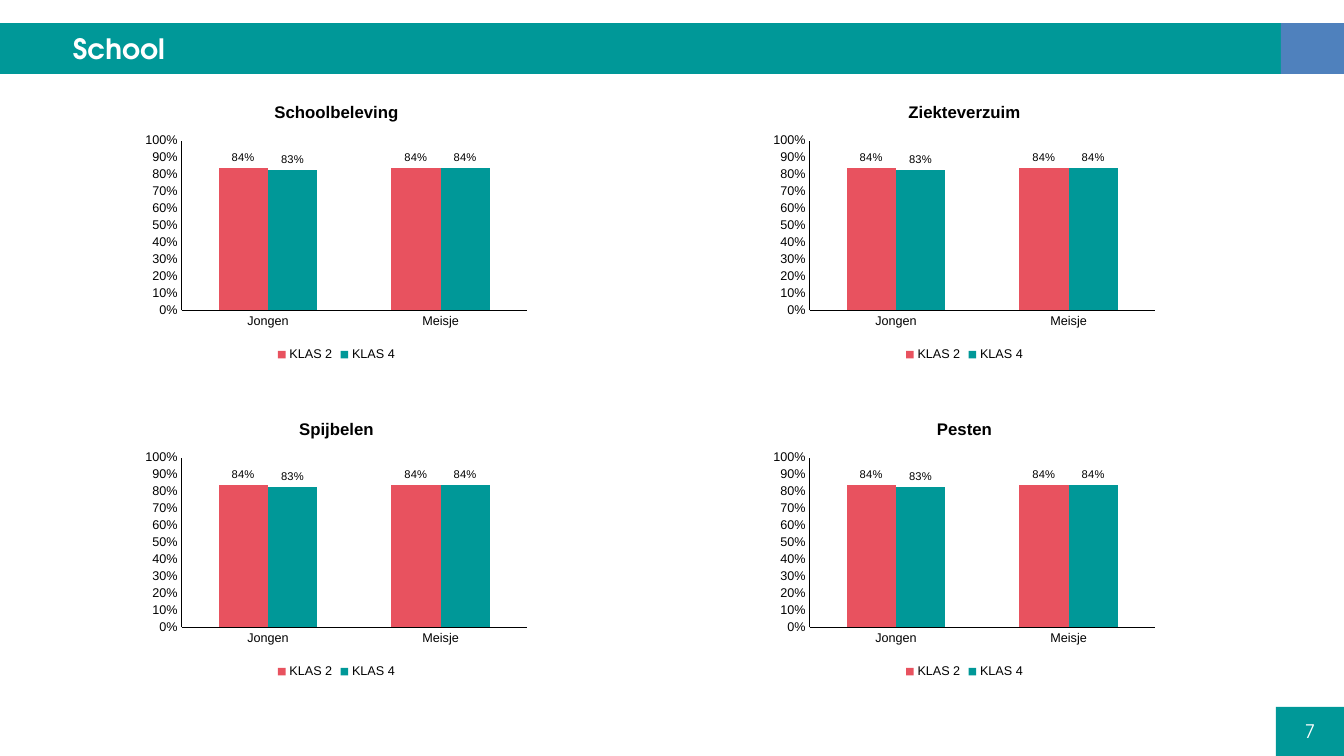
"""Build the School slide: header bar, four class charts and page number."""
from lxml import etree
from pptx import Presentation
from pptx import util as u
from pptx.chart.data import CategoryChartData
from pptx.dml.color import RGBColor
from pptx.enum import chart as ch, shapes, text
from pptx.oxml.ns import qn

TEAL, RED, BLUE, BLACK, WHITE = "009898", "E8525F", "4F81BD", "000000", "FFFFFF"
SCALE = 914400 / 100.8


def px(*vals):
    return [u.Emu(round(v * SCALE)) for v in vals]


def style(font, size, color, bold=False, name="Arial"):
    font.size, font.bold, font.name = u.Pt(size), bold, name
    font.color.rgb = RGBColor.from_string(color)


prs = Presentation()
prs.slide_width, prs.slide_height = px(1344, 756)
slide = prs.slides.add_slide(prs.slide_layouts[6])

bars = [
    (0, 23, 63, 51, TEAL, "", 20, True, text.PP_ALIGN.LEFT),
    (63, 23, 1218, 51, TEAL, "School", 20, True, text.PP_ALIGN.LEFT),
    (1281, 23, 63, 51, BLUE, "", 20, True, text.PP_ALIGN.LEFT),
    (1276, 707, 68, 49, TEAL, "7", 13.3, False, text.PP_ALIGN.CENTER),
]
for x, y, w, h, fill, label, size, bold, align in bars:
    bar = slide.shapes.add_shape(shapes.MSO_SHAPE.RECTANGLE, *px(x, y, w, h))
    bar.shadow.inherit = False
    bar.fill.solid()
    bar.fill.fore_color.rgb = RGBColor.from_string(fill)
    bar.line.fill.background()
    if label:
        frame = bar.text_frame
        frame.text = label
        frame.vertical_anchor = text.MSO_ANCHOR.MIDDLE
        para = frame.paragraphs[0]
        para.alignment = align
        style(para.runs[0].font, size, WHITE, bold, "TeX Gyre Adventor")

data = CategoryChartData(number_format="0%")
data.categories = ["Jongen", "Meisje"]
data.add_series("KLAS 2", (0.84, 0.84))
data.add_series("KLAS 4", (0.83, 0.84))

titles = ["Schoolbeleving", "Ziekteverzuim", "Spijbelen", "Pesten"]
for i, title in enumerate(titles):
    row, col = divmod(i, 2)
    box = px(138 + 628 * col, 88 + 317 * row, 397, 278)
    chart = slide.shapes.add_chart(
        ch.XL_CHART_TYPE.COLUMN_CLUSTERED, *box, data).chart
    style(chart.font, 18, BLACK, name="Calibri")
    chart.has_title = True
    chart.chart_title.include_in_layout = False
    head = chart.chart_title.text_frame
    head.text = title
    style(head.paragraphs[0].runs[0].font, 12, BLACK, True)
    chart.has_legend = True
    chart.legend.position = ch.XL_LEGEND_POSITION.BOTTOM
    chart.legend.include_in_layout = False
    style(chart.legend.font, 9, BLACK)

    for axis in (chart.category_axis, chart.value_axis):
        axis.has_major_gridlines = False
        axis.major_tick_mark = axis.minor_tick_mark = ch.XL_TICK_MARK.NONE
        axis.format.line.width = u.Pt(1)
        axis.format.line.color.rgb = RGBColor.from_string(BLACK)
        style(axis.tick_labels.font, 9, BLACK)
    scale = chart.value_axis
    scale.minimum_scale, scale.maximum_scale, scale.major_unit = 0, 1, 0.1
    scale.tick_labels.number_format = "0%"
    scale.tick_labels.number_format_is_linked = False

    plot = chart.plots[0]
    plot.gap_width, plot.overlap, plot.vary_by_categories = 150, 0, False
    for series, color in zip(plot.series, (RED, TEAL)):
        series.format.fill.solid()
        series.format.fill.fore_color.rgb = RGBColor.from_string(color)
        labels = series.data_labels
        labels.show_value = True
        labels.position = ch.XL_LABEL_POSITION.OUTSIDE_END
        labels.number_format = "0%"
        labels.number_format_is_linked = False
        style(labels.font, 8, BLACK)

    area = chart.element.find(".//" + qn("c:plotArea"))
    for old in area.findall(qn("c:layout")):
        area.remove(old)
    layout = etree.Element(qn("c:layout"))
    area.insert(0, layout)
    manual = etree.SubElement(layout, qn("c:manualLayout"))
    rules = [("layoutTarget", "inner"), ("xMode", "edge"), ("yMode", "edge"),
             ("x", 0.11), ("y", 0.19), ("w", 0.87), ("h", 0.61)]
    for tag, val in rules:
        etree.SubElement(manual, qn("c:" + tag)).set("val", str(val))

prs.save("out.pptx")
